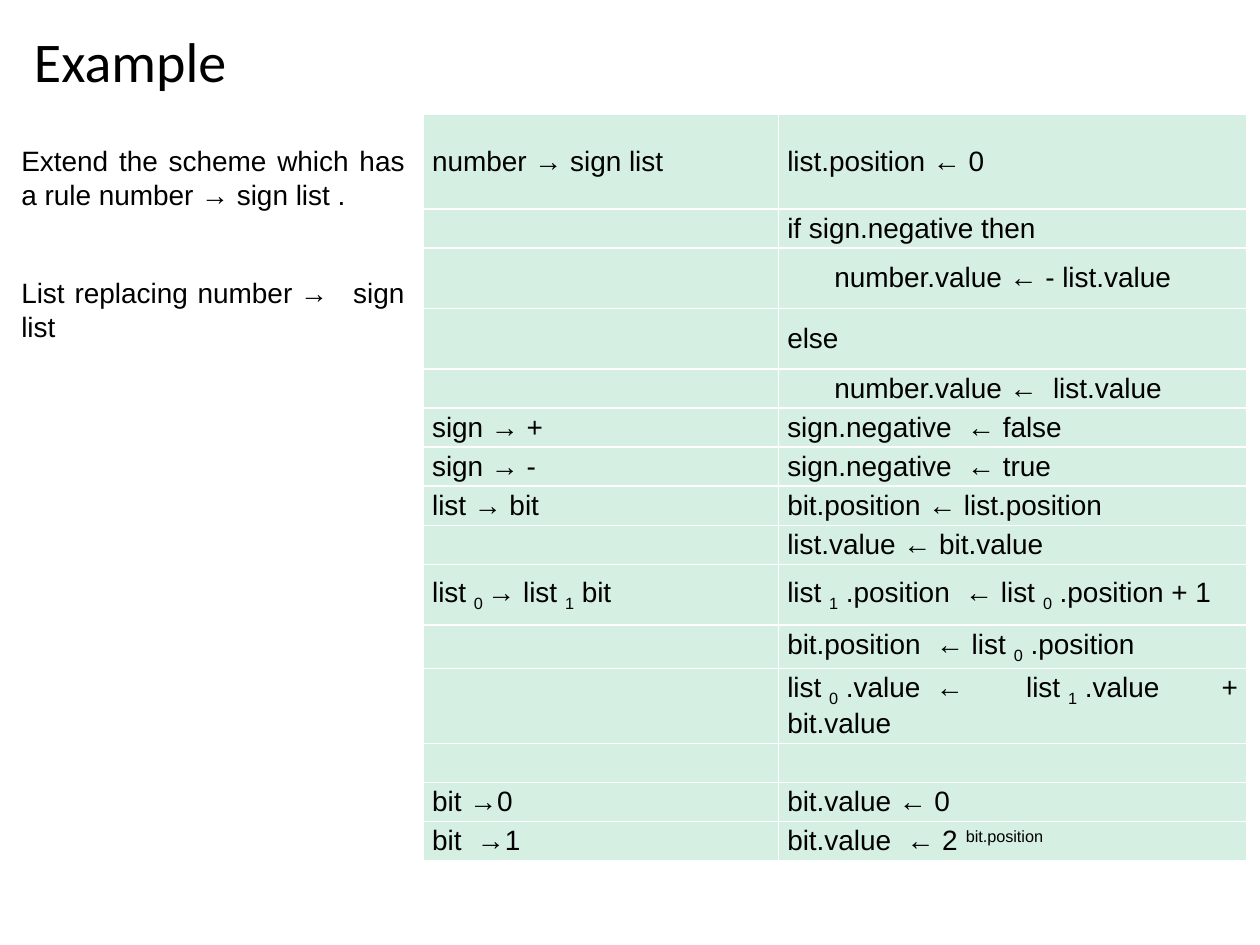
from pptx import Presentation
from pptx import util as u
from pptx.dml.color import RGBColor
from pptx.enum import text
from pptx.oxml import ns
from lxml import etree

COLORS = {"text": "000000", "cell": "D6EFE3"}
TITLE = "Example"
NOTES = [
    "Extend the scheme which has a rule number\u00a0→\u00a0sign list .",
    "List replacing number\u00a0→ \u00a0\u00a0sign list",
]
SUB, SUP = -25, 30
ZERO, ONE = ("0", SUB), ("1", SUB)
SHORT, TALL, FIRST = 0.69, 1.22, 1.9
STEP = 0.95
RULES = [
    (FIRST, 0, ["number\u00a0→\u00a0sign list"], ["list.position\u00a0←\u00a00"]),
    (SHORT, 0, [], ["if sign.negative then"]),
    (TALL, STEP, [], ["number.value\u00a0←\u00a0- list.value"]),
    (TALL, 0, [], ["else"]),
    (SHORT, STEP, [], ["number.value\u00a0← \u00a0list.value"]),
    (SHORT, 0, ["sign\u00a0→\u00a0+"], ["sign.negative\u00a0 ←\u00a0false"]),
    (SHORT, 0, ["sign\u00a0→\u00a0-"], ["sign.negative\u00a0\u00a0← true"]),
    (SHORT, 0, ["list\u00a0→\u00a0bit"], ["bit.position\u00a0←\u00a0list.position"]),
    (SHORT, 0, [], ["list.value\u00a0←\u00a0bit.value"]),
    (TALL, 0, ["list\u00a0", ("0\u00a0", SUB), "→\u00a0list\u00a0", ONE, "\u00a0bit"],
     ["list\u00a0", ONE, "\u00a0.position\u00a0\u00a0← list\u00a0", ZERO, "\u00a0.position + 1"]),
    (SHORT, 0, [], ["bit.position\u00a0\u00a0← list\u00a0", ZERO, "\u00a0.position"]),
    (TALL, 0, [], ["list\u00a0", ZERO, "\u00a0.value\u00a0\u00a0← list\u00a0", ONE,
                   "\u00a0.value + bit.value"]),
    (SHORT, 0, [], []),
    (SHORT, 0, ["bit\u00a0→0"], ["bit.value\u00a0←\u00a00"]),
    (SHORT, 0, ["bit\u00a0\u00a0→1"], ["bit.value\u00a0\u00a0← 2\u00a0", ("bit.position", SUP)]),
]
COLUMNS = [7.16, 9.45]


def add_runs(p, runs, size=16, font="Arial"):
    for run in runs:
        words, base = run if isinstance(run, tuple) else (run, 0)
        r = p.add_run()
        r.text = words
        r.font.size, r.font.name = u.Pt(size), font
        r.font.color.rgb = RGBColor.from_string(COLORS["text"])
        if base:
            r._r.get_or_add_rPr().set("baseline", str(base * 1000))


def fill_cell(cell, runs, indent):
    cell.fill.solid()
    cell.fill.fore_color.rgb = RGBColor.from_string(COLORS["cell"])
    cell.margin_left = cell.margin_right = u.Cm(0.18)
    cell.margin_top = cell.margin_bottom = u.Cm(0.08)
    cell.vertical_anchor = text.MSO_ANCHOR.MIDDLE
    p = cell.text_frame.paragraphs[0]
    p.alignment = text.PP_ALIGN.JUSTIFY
    if indent:
        p._p.get_or_add_pPr().set("marL", str(u.Cm(indent)))
    add_runs(p, runs)
    if not runs:
        end = etree.SubElement(p._p, ns.qn("a:endParaRPr"), sz="1600")
        etree.SubElement(end, ns.qn("a:latin"), typeface="Arial")


prs = Presentation()
prs.slide_width, prs.slide_height = u.Cm(25.4), u.Cm(19.05)
s = prs.slides.add_slide(prs.slide_layouts[5])

title = s.shapes.title
title.left, title.top, title.width, title.height = map(u.Cm, (0.43, 0.43, 22.86, 1.57))
title.text_frame.vertical_anchor = text.MSO_ANCHOR.MIDDLE
p = title.text_frame.paragraphs[0]
p.alignment = text.PP_ALIGN.LEFT
add_runs(p, [TITLE], 32, "Calibri")

height = sum(rule[0] for rule in RULES)
table = s.shapes.add_table(len(RULES), len(COLUMNS), u.Cm(8.53), u.Cm(2.31),
                           u.Cm(sum(COLUMNS)), u.Cm(height)).table
table.first_row = table.horz_banding = False
for column, width in zip(table.columns, COLUMNS):
    column.width = u.Cm(width)
for i, (row_height, indent, grammar, action) in enumerate(RULES):
    table.rows[i].height = u.Cm(row_height)
    fill_cell(table.cell(i, 0), grammar, 0)
    fill_cell(table.cell(i, 1), action, indent)

notes = s.shapes.add_textbox(*map(u.Cm, (0.18, 2.77, 8.23, 4.83)))
tf = notes.text_frame
tf.word_wrap = True
tf.vertical_anchor = text.MSO_ANCHOR.TOP
for i, note in enumerate(NOTES):
    p = tf.add_paragraph() if i else tf.paragraphs[0]
    p.alignment = text.PP_ALIGN.JUSTIFY
    p.space_before = u.Pt(37 if i else 0)
    add_runs(p, [note])

prs.save("out.pptx")
